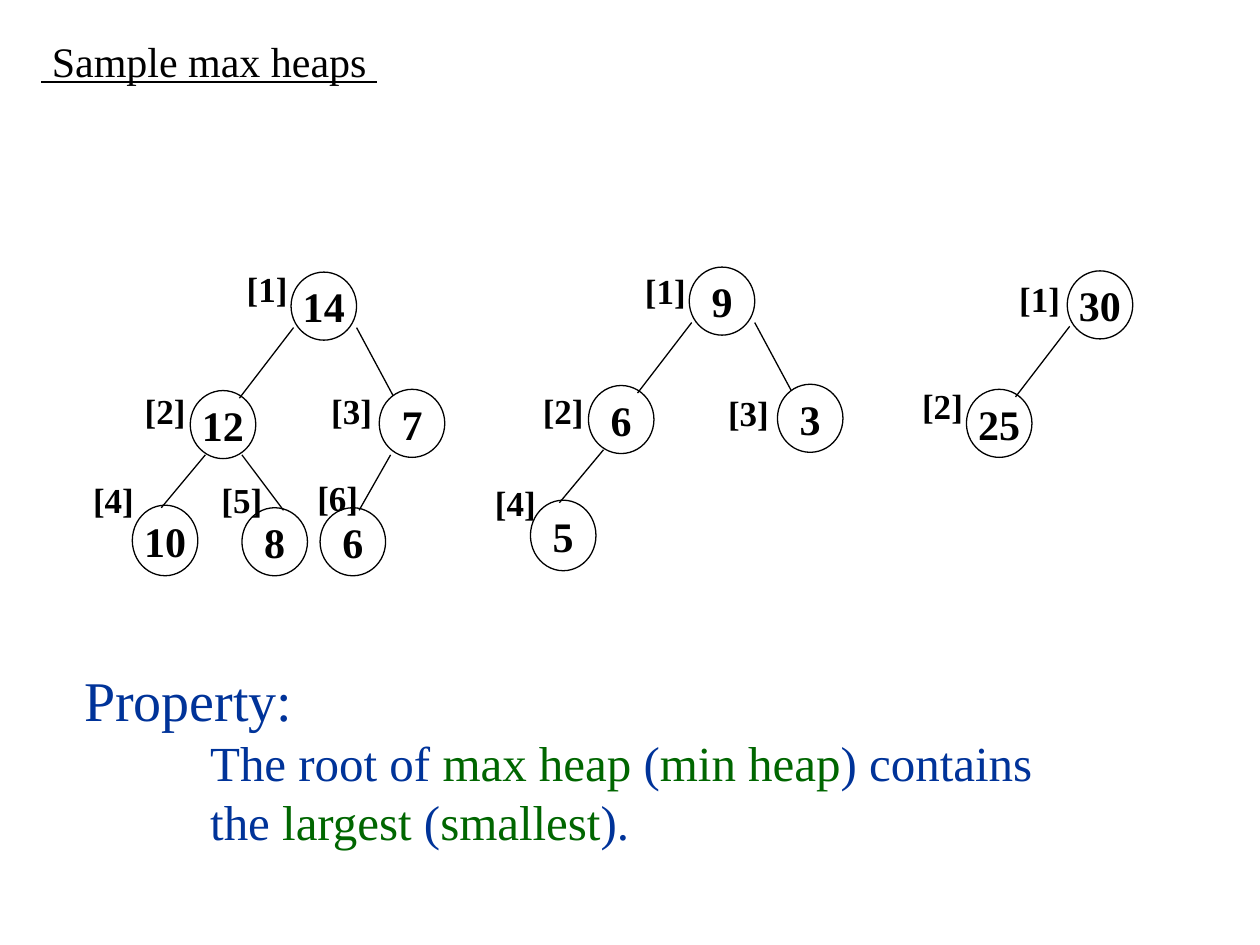
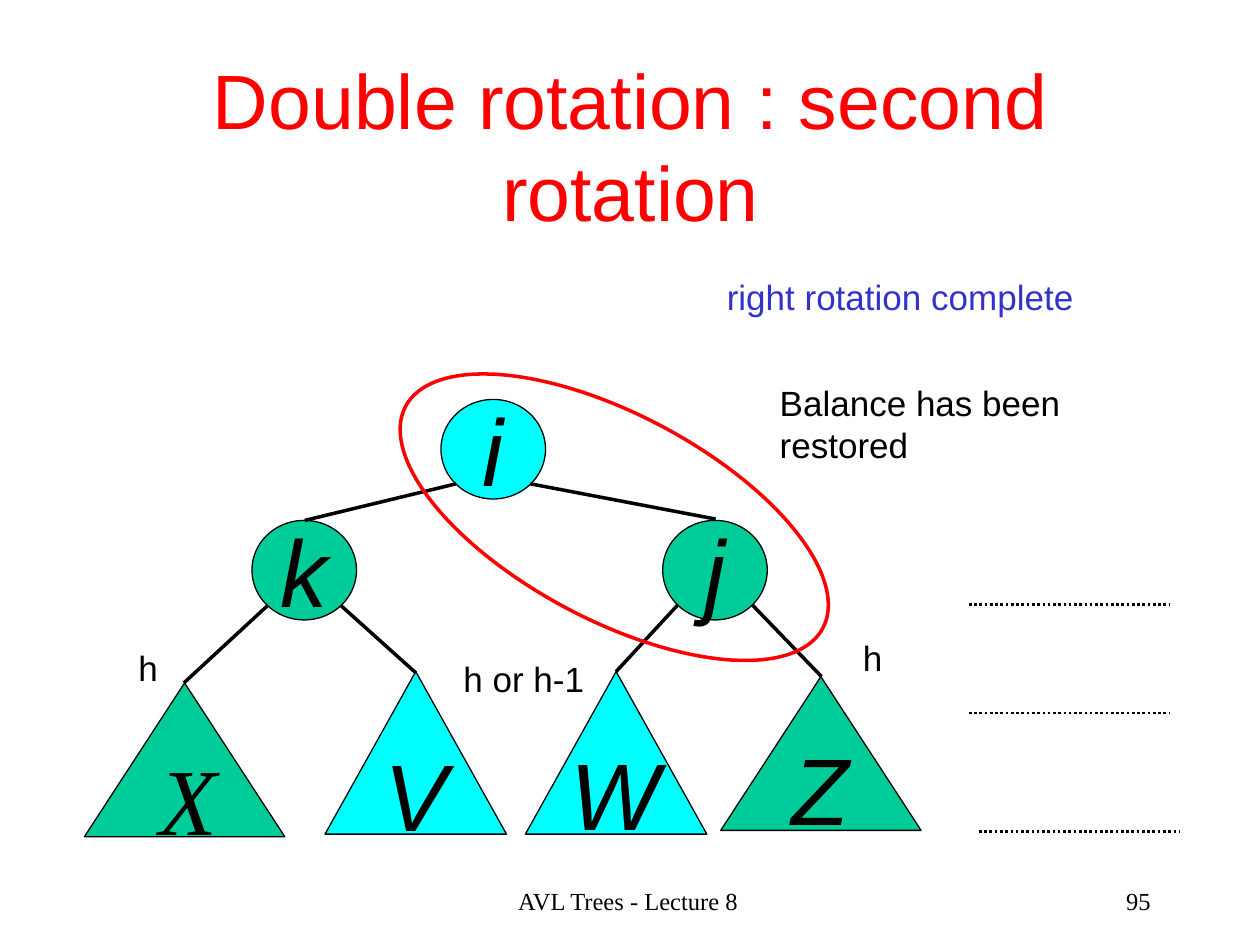
from lxml import etree
from pptx import Presentation
from pptx import util as u
from pptx.dml.color import RGBColor
from pptx.enum import dml, shapes, text
from pptx.oxml.ns import qn

SERIF, SANS = "Times New Roman", "Arial"
BLACK, RED, NAVY, LEAF, BLUE = "000000", "FF0000", "003399", "006600", "3333CC"
GREEN, CYAN = "00CC99", "00FFFF"
OVAL, TRIANGLE = shapes.MSO_SHAPE.OVAL, shapes.MSO_SHAPE.ISOSCELES_TRIANGLE
CENTER, RIGHT = text.PP_ALIGN.CENTER, text.PP_ALIGN.RIGHT
TOP, MIDDLE = text.MSO_ANCHOR.TOP, text.MSO_ANCHOR.MIDDLE

INDEX = dict(name=SERIF, size=20, bold=True)
KEY = dict(name=SERIF, size=24, bold=True)
LETTER = dict(name=SANS, size=54, italic=True)
NOTE = dict(name=SANS, size=20)
FOOTER = dict(name=SERIF, size=14)

# Heap layout, relative to the root's corner: node place, then edge from its parent
NODE_PLACES = [(0, 0), (-0.8, 0.94), (0.7, 0.93), (-1.26, 1.85), (-0.39, 1.87), (0.23, 1.87)]
EDGES = [None, (0.02, 0.44, -0.41, 1), (0.52, 0.44, 0.81, 0.98),
         (-0.68, 1.45, -1.03, 1.87), (-0.39, 1.45, -0.06, 1.89), (0.79, 1.45, 0.54, 1.89)]


def color(value):
    return RGBColor.from_string(value)


def write(span, content, look):
    """Put content in a run and give it the look."""
    span.text = content
    for name, value in look.items():
        if name == "color":
            span.font.color.rgb = color(value)
        else:
            setattr(span.font, name, u.Pt(value) if name == "size" else value)


def fill_frame(frame, lines, look, align=None, anchor=TOP, wrap=True):
    """Each line is a string or a list of (content, color) pairs."""
    frame.word_wrap = wrap
    frame.vertical_anchor = anchor
    for number, line in enumerate(lines):
        para = frame.paragraphs[0] if number == 0 else frame.add_paragraph()
        para.alignment = align
        pieces = [(line, look.get("color", BLACK))] if isinstance(line, str) else line
        for content, tint in pieces:
            write(para.add_run(), content, {**look, "color": tint})


def add_text(page, place, lines, look, **layout):
    box = page.shapes.add_textbox(*map(u.Inches, place))
    fill_frame(box.text_frame, lines, look, **layout)
    return box


def add_figure(page, kind, place, fill=None, line=BLACK, width=0.75, letter=None, look=LETTER):
    figure = page.shapes.add_shape(kind, *map(u.Inches, place))
    figure.shadow.inherit = False
    if fill:
        figure.fill.solid()
        figure.fill.fore_color.rgb = color(fill)
    else:
        figure.fill.background()
    figure.line.color.rgb = color(line)
    figure.line.width = u.Pt(width)
    if letter:
        fill_frame(figure.text_frame, [letter], look, align=CENTER, anchor=MIDDLE, wrap=False)
    return figure


def add_line(page, ends, width, dash=None):
    line = page.shapes.add_connector(shapes.MSO_CONNECTOR.STRAIGHT, *map(u.Inches, ends))
    line.line.color.rgb = color(BLACK)
    line.line.width = u.Pt(width)
    if dash:
        line.line.dash_style = dash
    etree.SubElement(line._element.spPr, qn("a:effectLst"))


def draw_heap(page, left, top, keys, index_places):
    """Binary heap whose root has its corner at left, top."""
    for number, key in enumerate(keys):
        x, y = NODE_PLACES[number]
        height = 0.56 if number == 3 else 0.54
        add_figure(page, OVAL, (left + x, top + y, 0.52, height), letter=str(key), look=KEY)
        if EDGES[number]:
            x1, y1, x2, y2 = EDGES[number]
            add_line(page, (left + x1, top + y1, left + x2, top + y2), 0.75)
        x, y = index_places[number]
        add_text(page, (left + x, top + y, 0.6, 0.43), [f"[{number + 1}]"], INDEX)


def draw_property(page, left, top):
    heading = dict(name=SERIF, size=32, color=NAVY)
    rule = [[("The root of ", NAVY), ("max heap", LEAF), (" (", NAVY),
             ("min heap", LEAF), (") contains", NAVY)],
            [("the ", NAVY), ("largest", LEAF), (" (", NAVY),
             ("smallest", LEAF), (").", NAVY)]]
    box = add_text(page, (left, top, 8.2, 1.57), ["Property:"] + rule, heading)
    for para in box.text_frame.paragraphs[1:]:
        para._p.get_or_add_pPr().set("marL", str(u.Inches(1)))
        for span in para.runs:
            span.font.size = u.Pt(28)


def build_heaps(page):
    add_text(page, (0.23, 0.23, 3.2, 0.5), [" Sample max heaps "],
             dict(name=SERIF, size=24, underline=True))
    draw_heap(page, 2.31, 2.16, [14, 12, 7, 10, 8, 6],
              [(-0.45, -0.09), (-1.26, 0.88), (0.22, 0.88),
               (-1.67, 1.59), (-0.65, 1.59), (0.11, 1.57)])
    draw_heap(page, 5.47, 2.12, [9, 6, 3, 5],
              [(-0.45, -0.03), (-1.26, 0.92), (0.21, 0.94), (-1.64, 1.65)])
    draw_heap(page, 8.47, 2.15, [30, 25], [(-0.48, 0), (-1.25, 0.85)])
    draw_property(page, 0.57, 5.23)


def draw_avl_tree(page):
    # Subtrees, with the letter inside the shape or in its own box
    wide, narrow = (1.59, 1.22), (1.44, 1.29)
    for x, y, size, fill, letter in [(0.67, 5.42, wide, GREEN, None), (2.58, 5.33, narrow, CYAN, "V"),
                                     (4.17, 5.33, narrow, CYAN, None), (5.72, 5.37, wide, GREEN, None)]:
        add_figure(page, TRIANGLE, (x, y, *size), fill, letter=letter)
    for letter, x, y, font in [("X", 1.17, 5.83, SERIF), ("W", 4.43, 5.79, SANS), ("Z", 6.18, 5.75, SANS)]:
        add_text(page, (x, y, 0.51, 1), [letter], {**LETTER, "name": font})

    # Nodes
    for letter, x, y, fill in [("j", 5.26, 4.13, GREEN), ("k", 2, 4.13, GREEN), ("i", 3.5, 3.17, CYAN)]:
        add_figure(page, OVAL, (x, y, 0.83, 0.79), fill, letter=letter)

    # Branches
    for ends in [(3.62, 3.84, 2.42, 4.13), (4.21, 3.84, 5.68, 4.12),
                 (2.12, 4.81, 1.46, 5.42), (2.71, 4.81, 3.3, 5.34),
                 (5.38, 4.8, 4.89, 5.33), (5.97, 4.8, 6.52, 5.37)]:
        add_line(page, ends, 2)

    # Ring around the rotated pair
    add_figure(page, OVAL, (3, 3.29, 3.75, 1.63), line=RED, width=2).rotation = 28

    # Subtree heights
    for label, x, y, width in [("h", 6.75, 5, 0.4), ("h", 1, 5.08, 0.4), ("h or h-1", 3.58, 5.17, 1.3)]:
        add_text(page, (x, y, width, 0.44), [label], NOTE)


def draw_levels(page):
    for x, y in [(7.69, 4.8), (7.69, 5.66), (7.77, 6.6)]:
        add_line(page, (x, y, x + 1.59, y), 1.5, dml.MSO_LINE.ROUND_DOT)


def build_rotation(page):
    add_text(page, (0.73, 0.71, 8.55, 0.88), ["Double rotation : second rotation"],
             dict(name=SANS, size=44, color=RED), align=CENTER, anchor=MIDDLE)
    draw_avl_tree(page)
    draw_levels(page)
    add_text(page, (5.67, 2.14, 3.5, 0.5), ["right rotation complete"], {**NOTE, "color": BLUE})
    add_text(page, (6.09, 2.91, 2.96, 0.9), ["Balance has been", "restored"], NOTE, anchor=MIDDLE)
    add_text(page, (3.4, 6.98, 3.17, 0.5), ["AVL Trees - Lecture 8"], FOOTER, align=CENTER)
    add_text(page, (7.15, 6.98, 2.08, 0.5), ["95"], FOOTER, align=RIGHT)


def main():
    deck = Presentation()
    deck.slide_width, deck.slide_height = u.Inches(10), u.Inches(7.5)
    for build in (build_heaps, build_rotation):
        build(deck.slides.add_slide(deck.slide_layouts[6]))
    deck.save("out.pptx")


if __name__ == "__main__":
    main()
